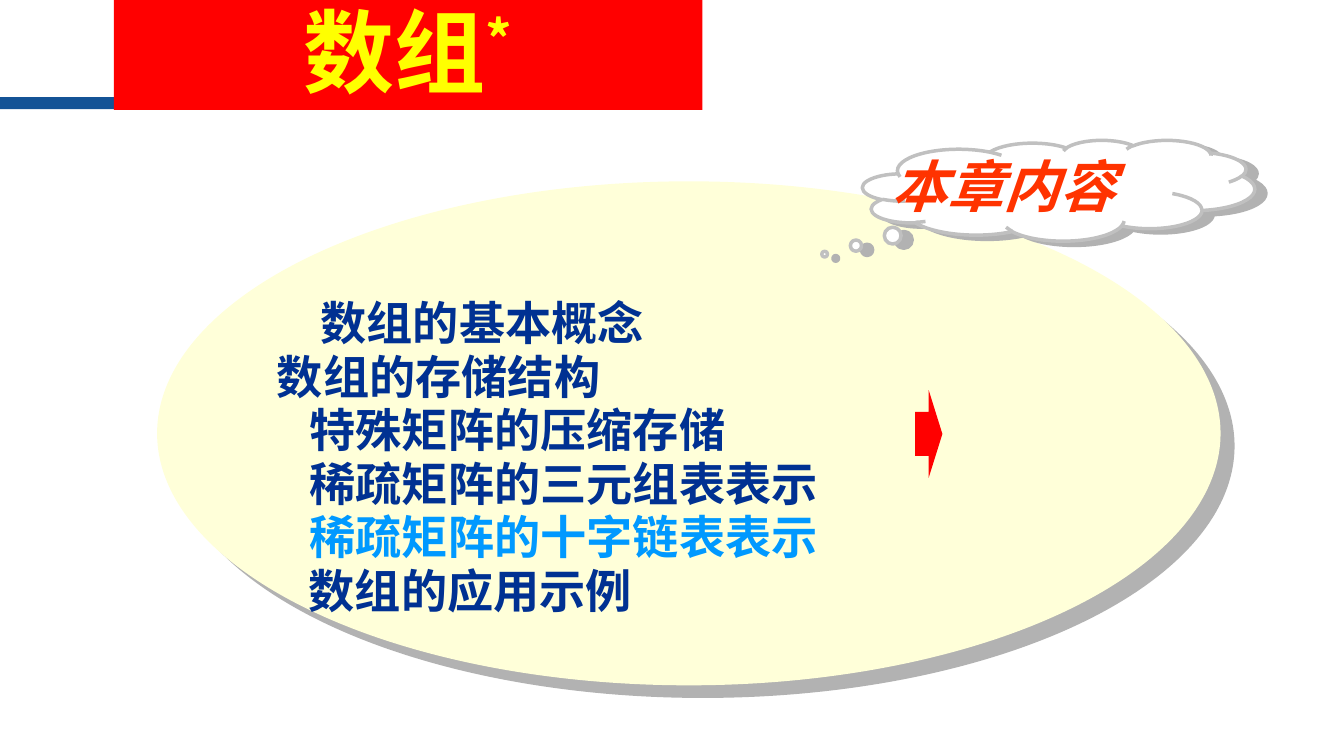
from lxml import etree
from pptx import Presentation
from pptx.dml import color
from pptx.enum import shapes, text
from pptx.oxml import ns
from pptx.util import Cm, Pt

COLORS = {
    "bar": "145396", "title_fill": "FF0000", "title_text": "FFFF00",
    "oval": "FFFFD9", "shadow": "B2B2B2", "white": "FFFFFF",
    "cloud_line": "C0C0C0", "cloud_text": "FF3300",
    "topic": "003192", "extra_topic": "0099FF", "arrow": "FF0000",
}
CJK_FONT = "Noto Sans CJK SC"
TOPICS = [
    ("数组的基本概念", 1.1, "topic"),
    ("数组的存储结构", 0, "topic"),
    ("特殊矩阵的压缩存储", 0.82, "topic"),
    ("稀疏矩阵的三元组表表示", 0.82, "topic"),
    ("稀疏矩阵的十字链表表示", 0.82, "extra_topic"),
    ("数组的应用示例", 0.8, "topic"),
]


def rgb(name):
    """Return the named palette colour."""
    return color.RGBColor.from_string(COLORS[name])


def place(shape, left, top, width, height):
    """Move and size a shape, in centimetres."""
    shape.left, shape.top = Cm(left), Cm(top)
    shape.width, shape.height = Cm(width), Cm(height)


def add_filled(slide, kind, box, fill):
    """Add a preset shape with a plain fill, no outline and no shadow."""
    shape = slide.shapes.add_shape(kind, *map(Cm, box))
    shape.fill.solid()
    shape.fill.fore_color.rgb = rgb(fill)
    shape.line.fill.background()
    shape.shadow.inherit = False
    return shape


def cast_shadow(shape, shade, distance, angle):
    """Give a shape a hard offset shadow."""
    shape.shadow.inherit = False
    effects = shape.element.spPr.find(ns.qn("a:effectLst"))
    outer = etree.SubElement(effects, ns.qn("a:outerShdw"), blurRad="0",
                             dist=str(Pt(distance)), dir=str(angle * 60000),
                             algn="ctr", rotWithShape="0")
    etree.SubElement(outer, ns.qn("a:srgbClr"), val=COLORS[shade])


def style(paragraph, size, shade, latin):
    """Set bold text of one size and colour on a whole paragraph."""
    font = paragraph.font
    font.size, font.bold, font.name = Pt(size), True, latin
    font.color.rgb = rgb(shade)
    defaults = paragraph._p.pPr.find(ns.qn("a:defRPr"))
    etree.SubElement(defaults, ns.qn("a:ea"), typeface=CJK_FONT)


def build_title(slide, left, top, width, height):
    """Turn the title placeholder into the red banner with its blue bar."""
    bar_height = 0.3
    bar_top = top + height - bar_height - 0.02
    add_filled(slide, shapes.MSO_SHAPE.RECTANGLE,
               (0, bar_top, left + 1, bar_height), "bar")
    title = slide.shapes.title
    place(title, left, top, width, height)
    title.fill.solid()
    title.fill.fore_color.rgb = rgb("title_fill")
    cast_shadow(title, "white", 2.8, 45)
    frame = title.text_frame
    frame.auto_size = text.MSO_AUTO_SIZE.NONE
    frame.vertical_anchor = text.MSO_ANCHOR.MIDDLE
    paragraph = frame.paragraphs[0]
    paragraph.alignment = text.PP_ALIGN.CENTER
    style(paragraph, 65, "title_text", CJK_FONT)
    paragraph.add_run().text = "数组"
    star = paragraph.add_run()
    star.text = "*"
    star.font._element.set("baseline", "30000")
    title.element.getparent().append(title.element)


def build_cloud(slide, left, top, width, height):
    """Draw the thought cloud with its heading."""
    cloud = add_filled(slide, shapes.MSO_SHAPE.CLOUD_CALLOUT,
                       (left, top, width, height), "white")
    cloud.adjustments[0], cloud.adjustments[1] = -0.597, 0.632
    cloud.line.color.rgb = rgb("cloud_line")
    cloud.line.width = Pt(2.5)
    cast_shadow(cloud, "shadow", 8.5, 21)
    heading = slide.shapes.add_textbox(Cm(left + 0.48), Cm(top + 0.15),
                                       Cm(width + 0.7), Cm(1.96))
    frame = heading.text_frame
    frame.word_wrap = True
    frame.vertical_anchor = text.MSO_ANCHOR.MIDDLE
    paragraph = frame.paragraphs[0]
    paragraph.text = "本章内容"
    style(paragraph, 40, "cloud_text", "Arial Narrow")
    paragraph.font.italic = True


def build_topics(slide, left, top, width, height):
    """Draw the oval, the list of topics and the arrow beside it."""
    oval = add_filled(slide, shapes.MSO_SHAPE.OVAL,
                      (left, top, width, height), "oval")
    cast_shadow(oval, "shadow", 13.5, 42)
    body = slide.placeholders[1]
    place(body, left + 3.02, top + 2.9, 16, 8.1)
    frame = body.text_frame
    frame.auto_size = text.MSO_AUTO_SIZE.NONE
    frame.vertical_anchor = text.MSO_ANCHOR.TOP
    frame.margin_left = frame.margin_right = 0
    frame.margin_top = frame.margin_bottom = 0
    for index, (topic, indent, shade) in enumerate(TOPICS):
        paragraph = frame.paragraphs[0] if index == 0 else frame.add_paragraph()
        paragraph.text = topic
        paragraph.line_spacing = Pt(38.2)
        paragraph.space_before = Pt(0)
        properties = paragraph._p.get_or_add_pPr()
        properties.set("marL", str(Cm(indent)))
        properties.set("indent", "0")
        etree.SubElement(properties, ns.qn("a:buNone"))
        style(paragraph, 33, shade, CJK_FONT)
    body.element.getparent().append(body.element)
    add_filled(slide, shapes.MSO_SHAPE.RIGHT_ARROW,
               (left + 19.1, top + 5.26, 0.69, 2.21), "arrow")


def main():
    """Build the chapter opening slide."""
    presentation = Presentation()
    presentation.slide_width, presentation.slide_height = Cm(33.87), Cm(19.05)
    slide = presentation.slides.add_slide(presentation.slide_layouts[1])
    build_topics(slide, 3.96, 4.57, 26.8, 12.7)
    build_cloud(slide, 21.74, 3.53, 9.88, 2.54)
    build_title(slide, 2.87, -0.25, 14.83, 3.02)
    presentation.save("out.pptx")


if __name__ == "__main__":
    main()
